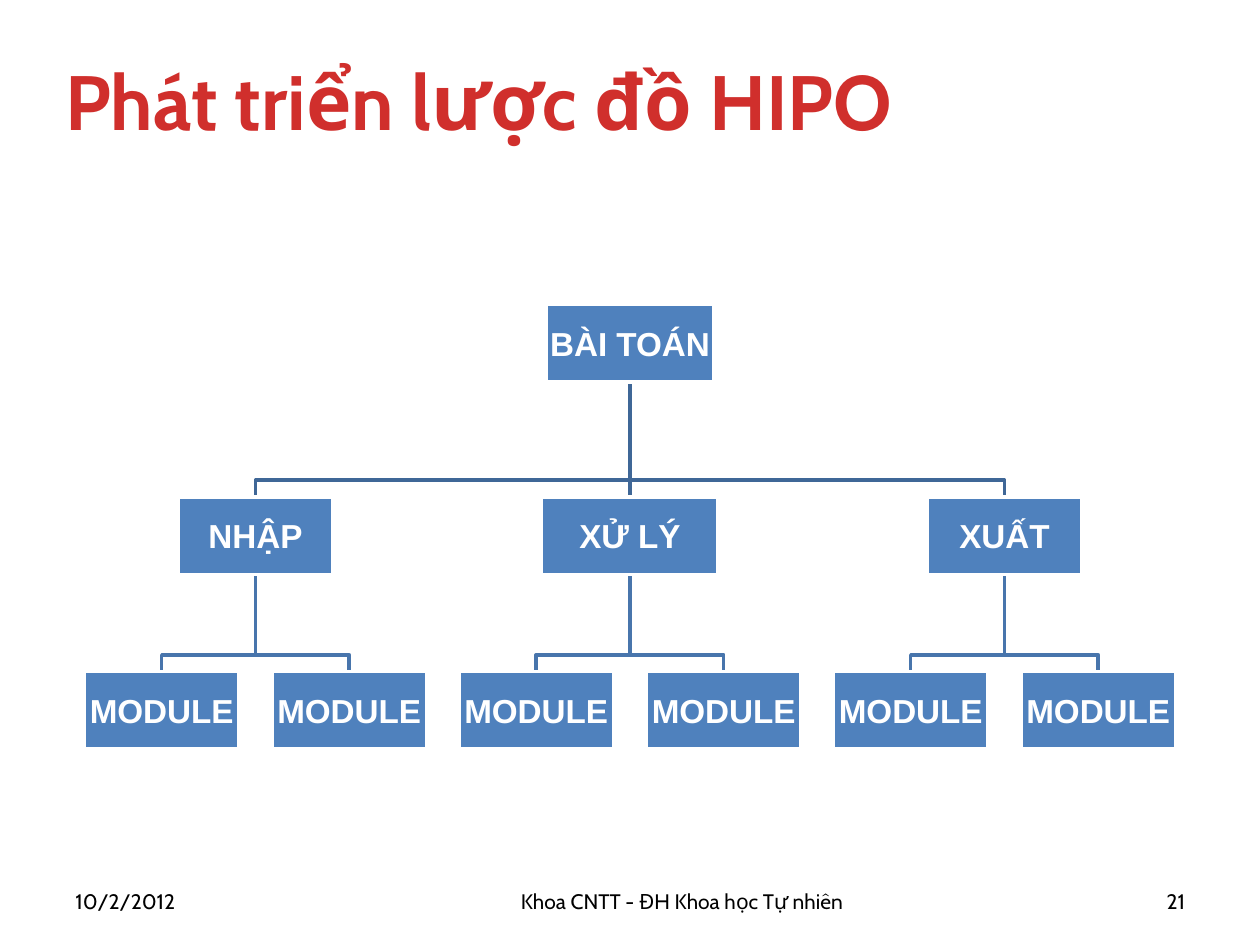
from dataclasses import dataclass, field

from pptx import Presentation, util as u
from pptx.dml.color import RGBColor
from pptx.enum import shapes, text
from pptx.oxml import parse_xml
from pptx.oxml.ns import nsdecls

RED = RGBColor(0xD0, 0x2F, 0x2C)
BLACK = RGBColor(0, 0, 0)
WHITE = RGBColor(0xFF, 0xFF, 0xFF)
BLUE = RGBColor(0x4F, 0x81, 0xBD)
LINE_COLORS = RGBColor(0x3F, 0x67, 0x97), RGBColor(0x48, 0x75, 0xAC)

BOX_H = 1.56
BUS_GAP = 0.34
LEVEL_TOPS = 6.14, 10.02, 13.54
CENTER = 12.7
BRANCH_STEP = 7.55
LEAF_OFFSET = 1.89
LEFT, MIDDLE, RIGHT = text.PP_ALIGN.LEFT, text.PP_ALIGN.CENTER, text.PP_ALIGN.RIGHT


@dataclass
class Node:
    """A box of the tree, placed by its centre and level."""
    label: str
    x: float
    level: int
    width: float = 3.12
    children: list["Node"] = field(default_factory=list)

    @property
    def top(self) -> float:
        return LEVEL_TOPS[self.level]


@dataclass
class Label:
    """A line of text outside the tree."""
    words: str
    left: float
    top: float
    width: float
    height: float
    size: int = 12
    align: text.PP_ALIGN = LEFT
    color: RGBColor = BLACK
    bold: bool = False


LABELS = [
    Label("Phát triển lược đồ HIPO", 1.07, 0.43, 23.93, 3.18, 44, color=RED, bold=True),
    Label("10/2/2012", 1.27, 17.65, 2.74, 1.02),
    Label("Khoa CNTT - ĐH Khoa học Tự nhiên", 5.28, 17.65, 16.94, 1.02, align=MIDDLE),
    Label("21", 22.66, 17.65, 1.48, 1.02, align=RIGHT),
]


def make_tree() -> Node:
    """Return the root with its three branches and their modules."""
    root = Node("BÀI TOÁN", CENTER, 0, 3.39)
    for i, (name, width) in enumerate([("NHẬP", 3.12), ("XỬ LÝ", 3.56), ("XUẤT", 3.12)]):
        x = CENTER + (i - 1) * BRANCH_STEP
        leaves = [Node("MODULE", x + dx, 2) for dx in (-LEAF_OFFSET, LEAF_OFFSET)]
        root.children.append(Node(name, x, 1, width, leaves))
    return root


def set_text(tf, words: str, font: str, size: int, color: RGBColor, bold: bool, align) -> None:
    """Fill a text frame with one styled paragraph."""
    tf.word_wrap = True
    tf.vertical_anchor = text.MSO_ANCHOR.MIDDLE
    p = tf.paragraphs[0]
    p.text, p.alignment = words, align
    p.font.name, p.font.size, p.font.bold = font, u.Pt(size), bold
    p.font.color.rgb = color


def draw_label(s, label: Label) -> None:
    """Add a label as a text box."""
    frame = (u.Cm(v) for v in (label.left, label.top, label.width, label.height))
    sp = s.shapes.add_textbox(*frame)
    set_text(sp.text_frame, label.words, "Cabin", label.size, label.color, label.bold, label.align)


def draw_link(s, parent: Node, child: Node) -> None:
    """Join a parent to a child, straight down or by a stepped line."""
    x1, y1 = u.Cm(parent.x), u.Cm(parent.top + BOX_H)
    x2, y2 = u.Cm(child.x), u.Cm(child.top)
    if x1 == x2:
        sp = s.shapes.add_connector(shapes.MSO_CONNECTOR.STRAIGHT, x1, y1, x2, y2)
        sp._element.spPr.append(parse_xml(f"<a:effectLst {nsdecls('a')}/>"))
    else:
        bus = u.Cm(child.top - BUS_GAP)
        builder = s.shapes.build_freeform(x1, y1)
        builder.add_line_segments([(x1, bus), (x2, bus), (x2, y2)], close=False)
        sp = builder.convert_to_shape()
        sp.fill.background()
        sp.shadow.inherit = False
    sp.line.color.rgb = LINE_COLORS[parent.level]
    sp.line.width = u.Pt(2)


def draw_links(s, node: Node) -> None:
    """Draw all links below a node."""
    for child in node.children:
        draw_links(s, child)
        draw_link(s, node, child)


def draw_boxes(s, node: Node) -> None:
    """Draw a node and all nodes below it."""
    sp = s.shapes.add_shape(shapes.MSO_SHAPE.RECTANGLE, u.Cm(node.x - node.width / 2),
                            u.Cm(node.top), u.Cm(node.width), u.Cm(BOX_H))
    sp.shadow.inherit = False
    sp.fill.solid()
    sp.fill.fore_color.rgb = BLUE
    sp.line.color.rgb = WHITE
    sp.line.width = u.Pt(2)
    tf = sp.text_frame
    tf.margin_left = tf.margin_right = tf.margin_top = tf.margin_bottom = u.Cm(0.03)
    set_text(tf, node.label, "Arial", 19, WHITE, True, MIDDLE)
    for child in node.children:
        draw_boxes(s, child)


def main() -> None:
    """Build and save the slide."""
    prs = Presentation()
    prs.slide_width, prs.slide_height = u.Cm(25.4), u.Cm(19.05)
    s = prs.slides.add_slide(prs.slide_layouts[6])
    for label in LABELS:
        draw_label(s, label)
    root = make_tree()
    draw_links(s, root)
    draw_boxes(s, root)
    prs.save("out.pptx")


if __name__ == "__main__":
    main()
